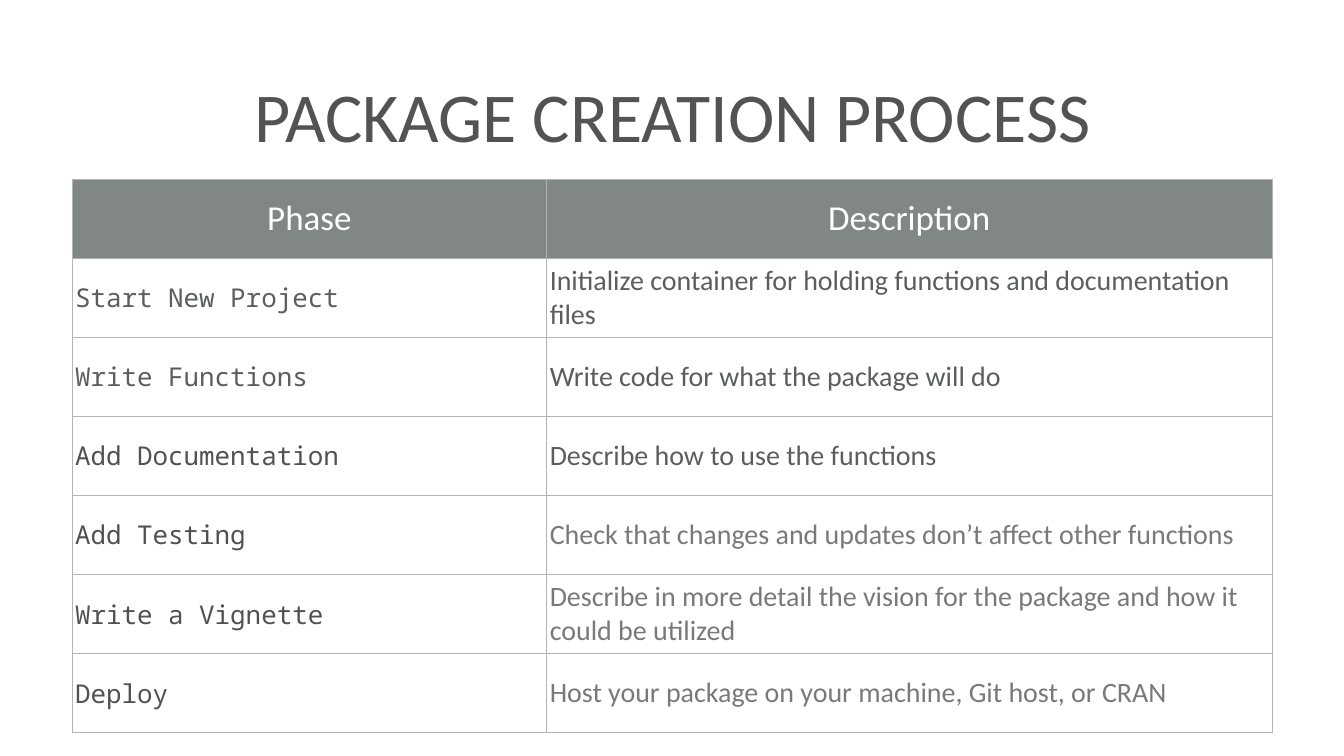
"""Build the package creation process slide with its phase table."""
import lxml.etree
import pptx
import pptx.dml.color
import pptx.enum.text
import pptx.oxml.ns
import pptx.util

Inches = pptx.util.Inches
RGBColor = pptx.dml.color.RGBColor
PP_ALIGN = pptx.enum.text.PP_ALIGN
MIDDLE = pptx.enum.text.MSO_ANCHOR.MIDDLE

TITLE_GRAY = RGBColor(0x53, 0x53, 0x53)
HEADER_FILL = RGBColor(0x80, 0x87, 0x85)
WHITE = RGBColor(0xFF, 0xFF, 0xFF)
SLATE = RGBColor(0x5A, 0x5F, 0x5E)
DARK = RGBColor(0x51, 0x51, 0x51)
LIGHT = RGBColor(0x79, 0x79, 0x79)
BORDER = RGBColor(0xB4, 0xB4, 0xB4)

SANS = "Calibri"
MONO = "Noto Sans Mono"
INSET = Inches(0.06)
COLUMN_WIDTHS = (9.42, 14.39)
ROW_HEIGHT = 1.57

HEADINGS = ("Phase", "Description")
PHASES = [
    ("Start New Project", SLATE,
     "Initialize container for holding functions and documentation files", SLATE),
    ("Write Functions", SLATE, "Write code for what the package will do", SLATE),
    ("Add Documentation", DARK, "Describe how to use the functions", SLATE),
    ("Add Testing", DARK,
     "Check that changes and updates don’t affect other functions", LIGHT),
    ("Write a Vignette", DARK,
     "Describe in more detail the vision for the package and how it could be utilized", LIGHT),
    ("Deploy", DARK, "Host your package on your machine, Git host, or CRAN", LIGHT),
]


def write_text(tf, text, *, size, color, font=SANS, align=PP_ALIGN.LEFT):
    p = tf.paragraphs[0]
    p.alignment = align
    r = p.add_run()
    r.text = text
    r.font.name = font
    r.font.size = pptx.util.Pt(size)
    r.font.bold = False
    r.font.color.rgb = color


def set_margins(box):
    box.margin_left = box.margin_right = INSET
    box.margin_top = box.margin_bottom = INSET


def set_borders(cell):
    qn = pptx.oxml.ns.qn
    tc_pr = cell._tc.get_or_add_tcPr()
    for side in ("a:lnL", "a:lnR", "a:lnT", "a:lnB"):
        ln = lxml.etree.SubElement(tc_pr, qn(side), w=str(pptx.util.Pt(1)))
        fill = lxml.etree.SubElement(ln, qn("a:solidFill"))
        lxml.etree.SubElement(fill, qn("a:srgbClr"), val=str(BORDER))


def fill_cell(cell, text, *, fill=None, **text_format):
    set_margins(cell)
    cell.vertical_anchor = MIDDLE
    set_borders(cell)
    if fill is None:
        cell.fill.background()
    else:
        cell.fill.solid()
        cell.fill.fore_color.rgb = fill
    write_text(cell.text_frame, text, **text_format)


def add_title(s, text):
    sp = s.shapes.add_textbox(Inches(0.74), Inches(0.39), Inches(25.21), Inches(3.75))
    tf = sp.text_frame
    tf.word_wrap = True
    tf.vertical_anchor = MIDDLE
    set_margins(tf)
    write_text(tf, text, size=100, color=TITLE_GRAY, align=PP_ALIGN.CENTER)


def add_phase_table(s):
    rows = len(PHASES) + 1
    table = s.shapes.add_table(
        rows, len(COLUMN_WIDTHS), Inches(1.43), Inches(3.55),
        Inches(sum(COLUMN_WIDTHS)), Inches(rows * ROW_HEIGHT)).table
    table.first_row = table.horz_banding = False
    for column, width in zip(table.columns, COLUMN_WIDTHS):
        column.width = Inches(width)
    for row in table.rows:
        row.height = Inches(ROW_HEIGHT)
    for col, heading in enumerate(HEADINGS):
        fill_cell(table.cell(0, col), heading, fill=HEADER_FILL,
                  size=50, color=WHITE, align=PP_ALIGN.CENTER)
    for row, (phase, phase_color, description, description_color) in enumerate(PHASES, 1):
        fill_cell(table.cell(row, 0), phase, size=37, color=phase_color, font=MONO)
        fill_cell(table.cell(row, 1), description, size=40, color=description_color)


def main():
    prs = pptx.Presentation()
    prs.slide_width, prs.slide_height = Inches(26.67), Inches(15)
    s = prs.slides.add_slide(prs.slide_layouts[6])
    add_title(s, "PACKAGE CREATION PROCESS")
    add_phase_table(s)
    prs.save("out.pptx")


if __name__ == "__main__":
    main()
